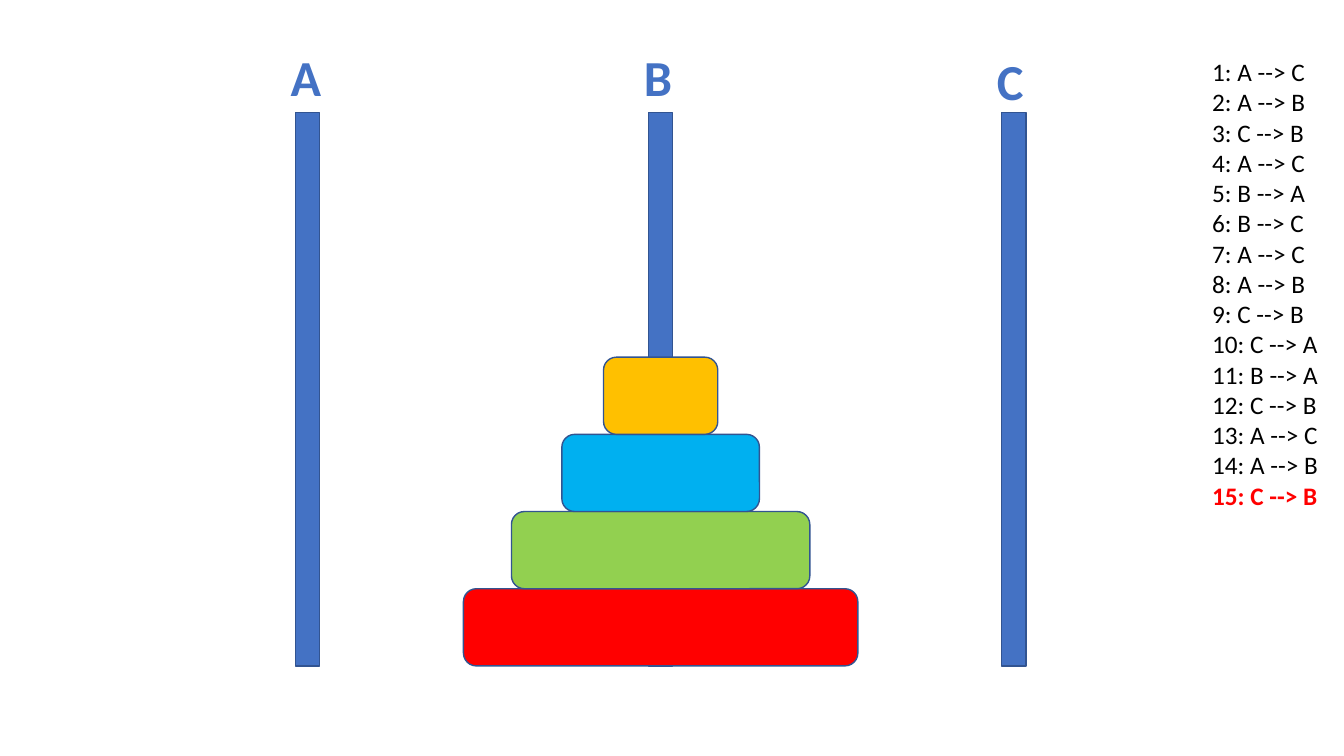
from pptx import Presentation
from pptx.dml.color import RGBColor
from pptx.enum.shapes import MSO_SHAPE
from pptx.enum.text import MSO_AUTO_SIZE
from pptx.util import Cm, Pt

COLORS = {
    "peg": "4472C4", "outline": "325491", "text": "000000", "last": "FF0000",
    "red": "FF0000", "green": "92D050", "blue": "00B0F0", "orange": "FFC000",
}
PEGS = [("A", 1.04), ("B", 1.04), ("C", 1.14)]
DISKS = [("red", 9.94), ("green", 7.52), ("blue", 4.98), ("orange", 2.88)]
MOVES = ["AC", "AB", "CB", "AC", "BA", "BC", "AC", "AB",
         "CB", "CA", "BA", "CB", "AC", "AB", "CB"]

PEG_X, PEG_PITCH, PEG_TOP, PEG_W, PEG_H = 7.75, 8.9, 2.84, 0.61, 13.94
DISK_H = 1.945
BASE = PEG_TOP + PEG_H
LABEL_W, LABEL_H = 1.35, 1.8
LABEL_FORMAT = {"size": Pt(36), "bold": True}
MOVE_FORMAT = {"size": Pt(18), "bold": False}
LAST_FORMAT = {"size": Pt(18), "bold": True}


def rgb(name):
    return RGBColor.from_string(COLORS[name])


def add_block(slide, kind, center, top, width, height, color):
    sp = slide.shapes.add_shape(
        kind, Cm(center - width / 2), Cm(top), Cm(width), Cm(height))
    sp.shadow.inherit = False
    sp.fill.solid()
    sp.fill.fore_color.rgb = rgb(color)
    sp.line.color.rgb = rgb("outline")
    sp.line.width = Pt(1)


def add_text(slide, box, lines):
    tf = slide.shapes.add_textbox(*map(Cm, box)).text_frame
    tf.word_wrap = True
    tf.auto_size = MSO_AUTO_SIZE.SHAPE_TO_FIT_TEXT
    for i, (text, color, style) in enumerate(lines):
        p = tf.add_paragraph() if i else tf.paragraphs[0]
        r = p.add_run()
        r.text = text
        r.font.name = "Calibri"
        r.font.color.rgb = rgb(color)
        for key, value in style.items():
            setattr(r.font, key, value)


def main():
    prs = Presentation()
    prs.slide_width, prs.slide_height = Cm(33.87), Cm(19.05)
    slide = prs.slides.add_slide(prs.slide_layouts[6])

    centers = [PEG_X + i * PEG_PITCH for i in range(len(PEGS))]
    for center, (name, top) in zip(centers, PEGS):
        add_block(slide, MSO_SHAPE.RECTANGLE, center, PEG_TOP, PEG_W, PEG_H, "peg")
        add_text(slide, (center - LABEL_W / 2, top, LABEL_W, LABEL_H),
                 [(name, "peg", LABEL_FORMAT)])

    for level, (color, width) in enumerate(DISKS, 1):
        add_block(slide, MSO_SHAPE.ROUNDED_RECTANGLE, centers[1],
                  BASE - level * DISK_H, width, DISK_H, color)

    lines = [(f"{n}: {start} --> {end}", "text", MOVE_FORMAT)
             for n, (start, end) in enumerate(MOVES, 1)]
    lines[-1] = (lines[-1][0], "last", LAST_FORMAT)
    add_text(slide, (30.3, 1.3, 3.4, 11.79), lines)

    prs.save("out.pptx")


if __name__ == "__main__":
    main()
